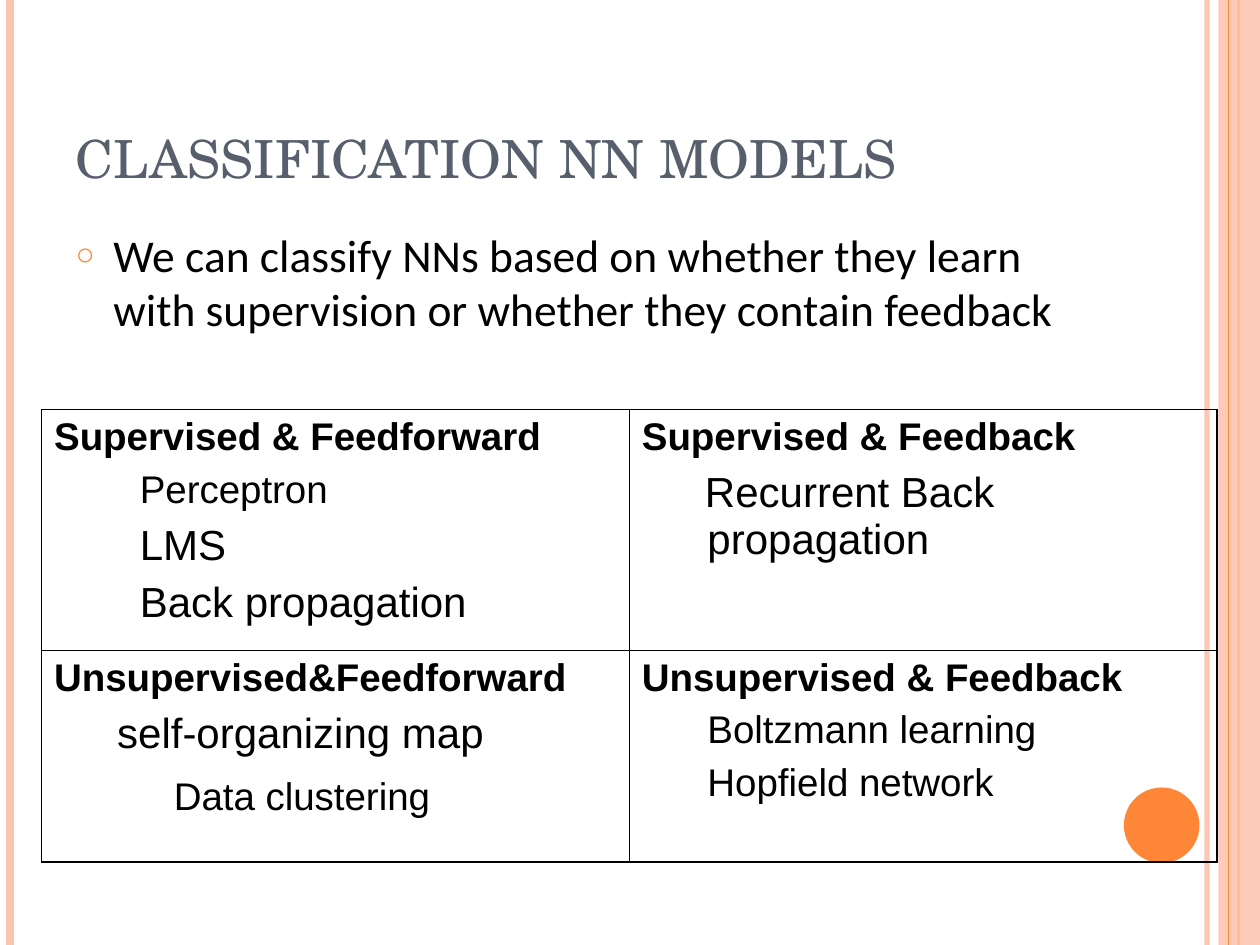
from dataclasses import dataclass

from lxml.etree import SubElement
from pptx import Presentation
from pptx.dml.color import RGBColor
from pptx.enum.shapes import MSO_CONNECTOR, MSO_SHAPE
from pptx.enum.text import MSO_ANCHOR, MSO_AUTO_SIZE, PP_ALIGN
from pptx.oxml import parse_xml
from pptx.oxml.ns import nsdecls, qn
from pptx.util import Inches, Pt


@dataclass(frozen=True)
class Theme:
    peach: str = "FEC3AE"
    orange: str = "FE8637"
    slate: str = "575F6D"
    black: str = "000000"
    title_font: str = "TeX Gyre Schola"
    body_font: str = "Calibri"
    table_font: str = "Arial"
    title_size: float = 30
    body_size: float = 26
    item_size: float = 24
    heading_size: float = 22
    outer_border: float = 1.08
    inner_border: float = 0.45


@dataclass(frozen=True)
class Stripe:
    x: float
    color: str
    width: float
    opacity: int = 100


@dataclass(frozen=True)
class Entry:
    text: str
    size: float
    indent: float = 0
    hanging: float = 0
    before: float = 5.5
    bold: bool = False


THEME = Theme()
SLIDE_HEIGHT = 7.5


def heading(text: str) -> Entry:
    return Entry(text, THEME.heading_size, before=0, bold=True)


def large_item(text: str, indent: float) -> Entry:
    return Entry(text, THEME.item_size, indent, hanging=0.02, before=6)


def small_item(text: str, indent: float, before: float = 5.5) -> Entry:
    return Entry(text, THEME.heading_size, indent, before=before)


BACK_STRIPES = [
    Stripe(9.58, THEME.peach, 3, 93),
    Stripe(0.08, THEME.peach, 4.5),
    Stripe(9.83, THEME.orange, 1.5),
]
FRONT_STRIPE = Stripe(9.75, THEME.orange, 0.75)

MODEL_GRID = [
    [
        [heading("Supervised & Feedforward"), small_item("Perceptron", 0.68),
         large_item("LMS", 0.7), large_item("Back propagation", 0.7)],
        [heading("Supervised & Feedback"),
         large_item("Recurrent Back propagation", 0.52)],
    ],
    [
        [heading("Unsupervised&Feedforward"),
         large_item("self-organizing map", 0.52),
         small_item("Data clustering", 0.95, before=11)],
        [heading("Unsupervised & Feedback"),
         small_item("Boltzmann learning", 0.52),
         small_item("Hopfield network", 0.52)],
    ],
]


def set_opacity(owner, percent: int) -> None:
    """Make the solid colour inside a shape's or line's XML translucent."""
    color = next(owner.iter(qn("a:srgbClr")))
    SubElement(color, qn("a:alpha"), val=str(percent * 1000))


def draw_stripe(slide, stripe: Stripe) -> None:
    x = Inches(stripe.x)
    line = slide.shapes.add_connector(
        MSO_CONNECTOR.STRAIGHT, x, 0, x, Inches(SLIDE_HEIGHT))
    line.line.color.rgb = RGBColor.from_string(stripe.color)
    line.line.width = Pt(stripe.width)
    properties = line._element.spPr
    if stripe.opacity < 100:
        set_opacity(properties, stripe.opacity)
    SubElement(properties, qn("a:effectLst"))


def draw_block(slide, preset, left: float, top: float, width: float,
               height: float, color: str, opacity: int = 100) -> None:
    block = slide.shapes.add_shape(
        preset, Inches(left), Inches(top), Inches(width), Inches(height))
    block.shadow.inherit = False
    block.fill.solid()
    block.fill.fore_color.rgb = RGBColor.from_string(color)
    block.line.fill.background()
    if opacity < 100:
        set_opacity(block._element.spPr, opacity)


def add_text(paragraph, text: str, font: str, size: float, color: str,
             bold: bool = False) -> None:
    run = paragraph.add_run()
    run.text = text
    run.font.name = font
    run.font.size = Pt(size)
    run.font.bold = bold
    run.font.color.rgb = RGBColor.from_string(color)


def place(placeholder, top: float, height: float, anchor):
    """Position a placeholder and return its first paragraph, left aligned."""
    placeholder.left, placeholder.top = Inches(0.5), Inches(top)
    placeholder.width, placeholder.height = Inches(8.17), Inches(height)
    frame = placeholder.text_frame
    frame.word_wrap = True
    frame.auto_size = MSO_AUTO_SIZE.NONE
    frame.vertical_anchor = anchor
    paragraph = frame.paragraphs[0]
    paragraph.alignment = PP_ALIGN.LEFT
    paragraph.space_before = Pt(0)
    return paragraph


def set_indent(paragraph, left: float, hanging: float):
    properties = paragraph._p.get_or_add_pPr()
    properties.set("marL", str(Inches(left)))
    properties.set("indent", str(-Inches(hanging)))
    return properties


def add_bullet(paragraph) -> None:
    properties = set_indent(paragraph, 0.3, 0.3)
    color = SubElement(properties, qn("a:buClr"))
    SubElement(color, qn("a:srgbClr"), val=THEME.orange)
    SubElement(properties, qn("a:buSzPct"), val="70000")
    SubElement(properties, qn("a:buChar"), char="○")


def set_borders(cell, row: int, column: int) -> None:
    """Draw thick edges around the 2 x 2 grid and thin ones inside it."""
    outer_sides = {"L": column == 0, "R": column == 1,
                   "T": row == 0, "B": row == 1}
    properties = cell._tc.get_or_add_tcPr()
    for position, (side, is_outer) in enumerate(outer_sides.items()):
        width = Pt(THEME.outer_border if is_outer else THEME.inner_border)
        properties.insert(position, parse_xml(
            f'<a:ln{side} {nsdecls("a")} w="{width}"><a:solidFill>'
            f'<a:srgbClr val="{THEME.black}"/></a:solidFill></a:ln{side}>'))


def fill_cell(cell, entries: list[Entry]) -> None:
    cell.fill.background()
    frame = cell.text_frame
    for index, entry in enumerate(entries):
        paragraph = frame.add_paragraph() if index else frame.paragraphs[0]
        set_indent(paragraph, entry.indent, entry.hanging)
        paragraph.space_before = Pt(entry.before)
        add_text(paragraph, entry.text, THEME.table_font, entry.size,
                 THEME.black, entry.bold)


def draw_model_table(slide) -> None:
    table = slide.shapes.add_table(
        2, 2, Inches(0.33), Inches(3.25), Inches(9.33), Inches(3.59)).table
    table.first_row = table.horz_banding = False
    for row, height in zip(table.rows, (1.91, 1.68)):
        row.height = Inches(height)
    for row, groups in enumerate(MODEL_GRID):
        for column, entries in enumerate(groups):
            cell = table.cell(row, column)
            fill_cell(cell, entries)
            set_borders(cell, row, column)


def main() -> None:
    deck = Presentation()
    deck.slide_width, deck.slide_height = Inches(10), Inches(SLIDE_HEIGHT)
    slide = deck.slides.add_slide(deck.slide_layouts[1])
    for stripe in BACK_STRIPES:
        draw_stripe(slide, stripe)
    draw_block(slide, MSO_SHAPE.RECTANGLE, 9.67, 0, 0.33, SLIDE_HEIGHT,
               THEME.peach, 87)
    draw_stripe(slide, FRONT_STRIPE)
    draw_block(slide, MSO_SHAPE.OVAL, 8.92, 6.25, 0.6, 0.6, THEME.orange)

    title = place(slide.shapes.title, 0.3, 1.25, MSO_ANCHOR.BOTTOM)
    add_text(title, "CLASSIFICATION NN MODELS", THEME.title_font,
             THEME.title_size, THEME.slate)
    intro = place(slide.placeholders[1], 1.75, 5.33, MSO_ANCHOR.TOP)
    add_bullet(intro)
    add_text(intro, "We can classify NNs based on whether they learn with "
             "supervision or whether they contain feedback",
             THEME.body_font, THEME.body_size, THEME.black)
    draw_model_table(slide)
    deck.save("out.pptx")


if __name__ == "__main__":
    main()
